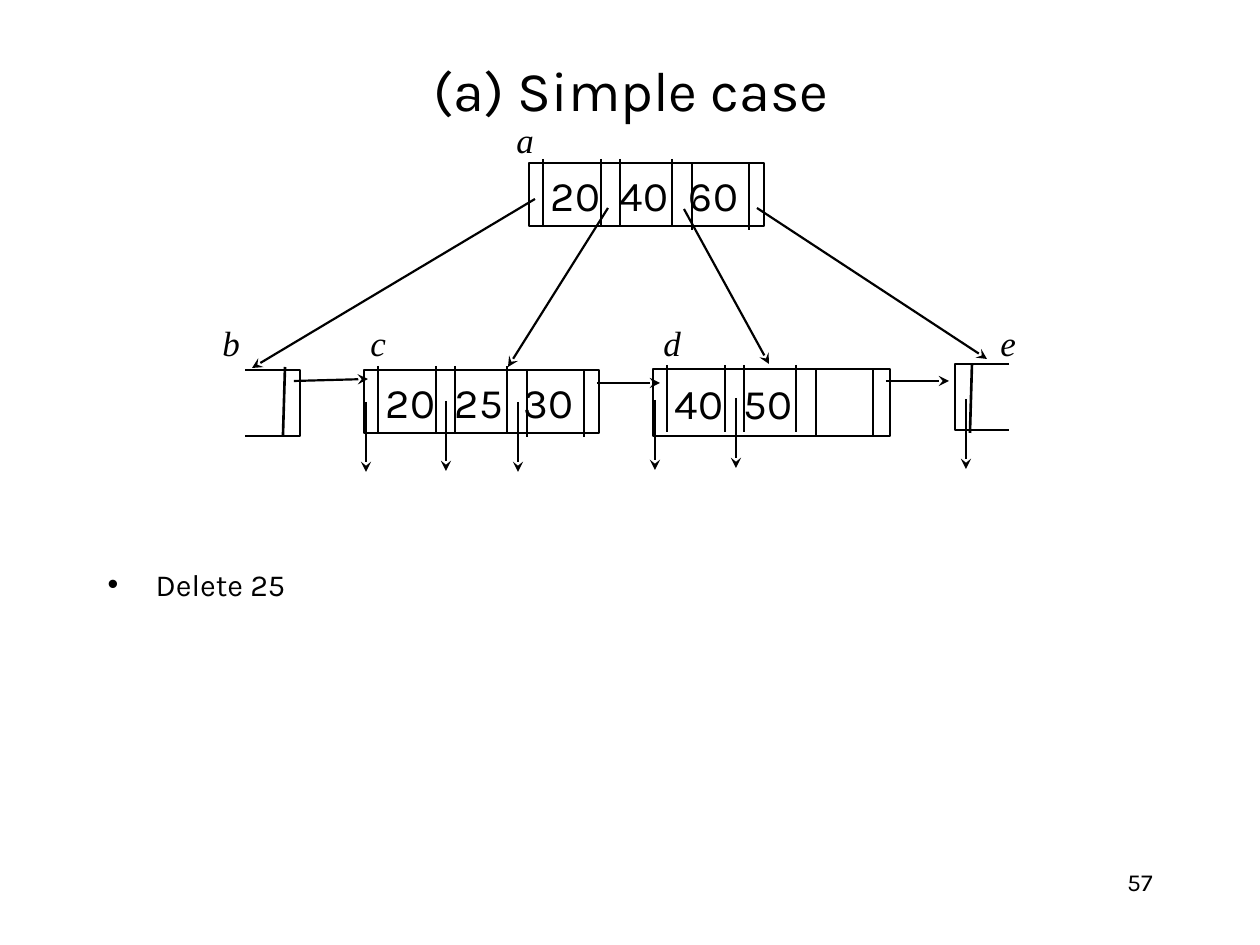
from pptx import Presentation
from pptx.dml.color import RGBColor
from pptx.enum.shapes import MSO_CONNECTOR as CONN, MSO_SHAPE as SHAPE
from pptx.enum.text import MSO_ANCHOR as ANCHOR, MSO_AUTO_SIZE as AUTO, PP_ALIGN as ALIGN
from pptx.oxml.ns import qn
from pptx.util import Emu, Pt
from lxml.etree import SubElement

BLACK = RGBColor(0x00, 0x00, 0x00)
WHITE = RGBColor(0xFF, 0xFF, 0xFF)
SANS, SERIF = "Karla", "Times New Roman"
DIVIDERS = [(14, -4), (72, -4), (91, -4), (143, -4), (163, 0), (220, 0)]
KEY_INSET, KEY_PITCH = 22, 69


def px(n):
    return Emu(round(n * 914400 / 126))


class Sketch:
    def __init__(self, slide):
        self.slide = slide
        self.shapes = slide.shapes

    def run(self, p, text, size, font=SANS, italic=False):
        r = p.add_run()
        r.text = text
        r.font.name = font
        r.font.size = Pt(size)
        r.font.italic = italic
        r.font.color.rgb = BLACK

    def place(self, sp, x, y, w, h):
        sp.left, sp.top, sp.width, sp.height = px(x), px(y), px(w), px(h)
        sp.text_frame.auto_size = AUTO.NONE
        return sp.text_frame

    def title(self, text, *box):
        tf = self.place(self.shapes.title, *box)
        tf.vertical_anchor = ANCHOR.MIDDLE
        p = tf.paragraphs[0]
        p.alignment = ALIGN.CENTER
        self.run(p, text, 32)

    def bullet(self, text, *box):
        tf = self.place(self.slide.placeholders[1], *box)
        p = tf.paragraphs[0]
        pPr = p._p.get_or_add_pPr()
        pPr.set("marL", str(px(48)))
        pPr.set("indent", str(-px(48)))
        SubElement(pPr, qn("a:buChar")).set("char", "•")
        p.line_spacing = 0.7
        p.space_before = Pt(0)
        self.run(p, text, 17.5)

    def text(self, text, x, y, w, h, size, align=ALIGN.LEFT, **style):
        tf = self.shapes.add_textbox(px(x), px(y), px(w), px(h)).text_frame
        tf.word_wrap = True
        p = tf.paragraphs[0]
        p.alignment = align
        self.run(p, text, size, **style)

    def label(self, text, x, y):
        self.text(text, x, y, 43, 55, 20, font=SERIF, italic=True)

    def outline(self, sp):
        sp.shadow.inherit = False
        sp.fill.background()
        sp.line.color.rgb = BLACK
        sp.line.width = Pt(1.5)

    def line(self, x1, y1, x2, y2, width=1.5):
        c = self.shapes.add_connector(CONN.STRAIGHT, px(x1), px(y1), px(x2), px(y2))
        c.line.color.rgb = BLACK
        c.line.width = Pt(width)
        SubElement(c._element.spPr, qn("a:effectLst"))
        return c

    def arrow(self, x1, y1, x2, y2):
        c = self.line(x1, y1, x2, y2, 1.25)
        SubElement(c.line._get_or_add_ln(), qn("a:tailEnd")).set("type", "stealth")

    def node(self, keys, x, y, w, h):
        sp = self.shapes.add_shape(SHAPE.RECTANGLE, px(x), px(y), px(w), px(h))
        self.outline(sp)
        tf = sp.text_frame
        tf.margin_left, tf.margin_right = px(KEY_INSET), 0
        tf.vertical_anchor = ANCHOR.MIDDLE
        p = tf.paragraphs[0]
        p.alignment = ALIGN.LEFT
        tabs = SubElement(p._p.get_or_add_pPr(), qn("a:tabLst"))
        for i in range(1, len(keys)):
            tab = SubElement(tabs, qn("a:tab"))
            tab.set("pos", str(px(i * KEY_PITCH)))
            tab.set("algn", "l")
        self.run(p, "\t".join(keys), 24)
        for dx, dy in DIVIDERS:
            self.line(x + dx, y + dy, x + dx, y + dy + 67)

    def open_node(self, x_open, x_closed, top, bottom):
        fb = self.shapes.build_freeform(px(x_open), px(top))
        fb.add_line_segments([(px(x_closed), px(top)), (px(x_closed), px(bottom)),
                              (px(x_open), px(bottom))], close=False)
        self.outline(fb.convert_to_shape())


def main():
    prs = Presentation()
    prs.slide_width, prs.slide_height = px(1260), px(945)
    s = prs.slides.add_slide(prs.slide_layouts[1])
    s.background.fill.solid()
    s.background.fill.fore_color.rgb = WHITE
    sketch = Sketch(s)

    sketch.title("(a) Simple case", 96, 45, 1071, 88)
    sketch.bullet("Delete 25", 95, 570, 1071, 271)
    sketch.text("57", 903, 861, 262, 63, 14, ALIGN.RIGHT)

    sketch.node(["20", "40", "60"], 529, 163, 235, 63)
    sketch.node(["20", "25", "30"], 364, 370, 235, 63)
    sketch.node(["40", "50"], 653, 369, 237, 67)
    sketch.open_node(245, 300, 370, 436)
    sketch.line(285, 367, 283, 436)
    sketch.open_node(1009, 955, 364, 430)
    sketch.line(970, 433, 972, 364)

    child_links = [(535, 199, 252, 368), (608, 208, 508, 367),
                   (684, 209, 769, 364), (757, 208, 987, 359)]
    leaf_links = [(294, 381, 368, 379), (597, 383, 660, 383), (886, 381, 949, 381)]
    for link in child_links + leaf_links:
        sketch.arrow(*link)
    for x, y in [(366, 402), (446, 401), (518, 402), (655, 400), (736, 398), (966, 399)]:
        sketch.arrow(x, y, x, y + 70)

    for name, x, y in [("a", 504, 112), ("b", 210, 315), ("c", 358, 315),
                       ("d", 651, 315), ("e", 988, 315)]:
        sketch.label(name, x, y)

    prs.save("out.pptx")


if __name__ == "__main__":
    main()
